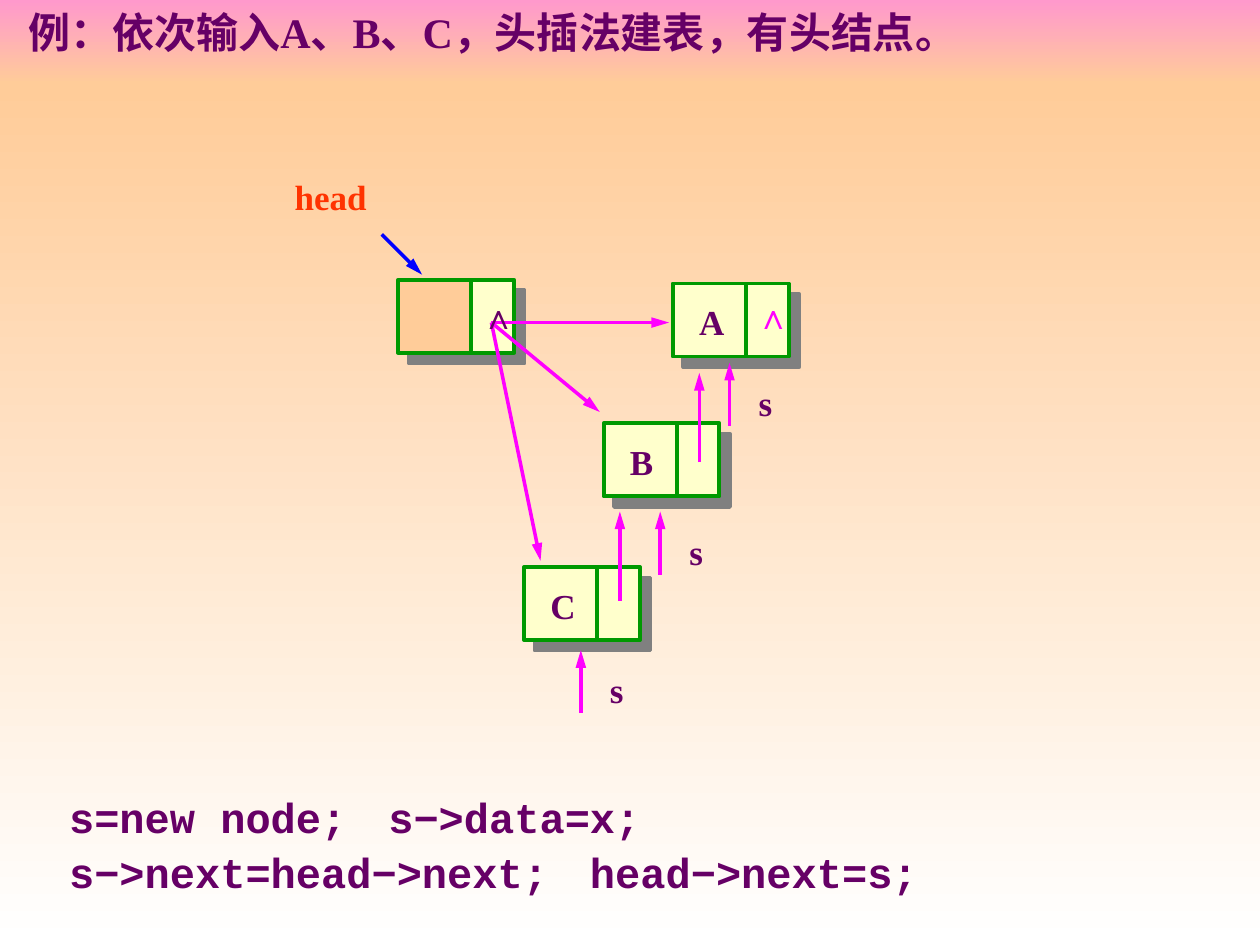
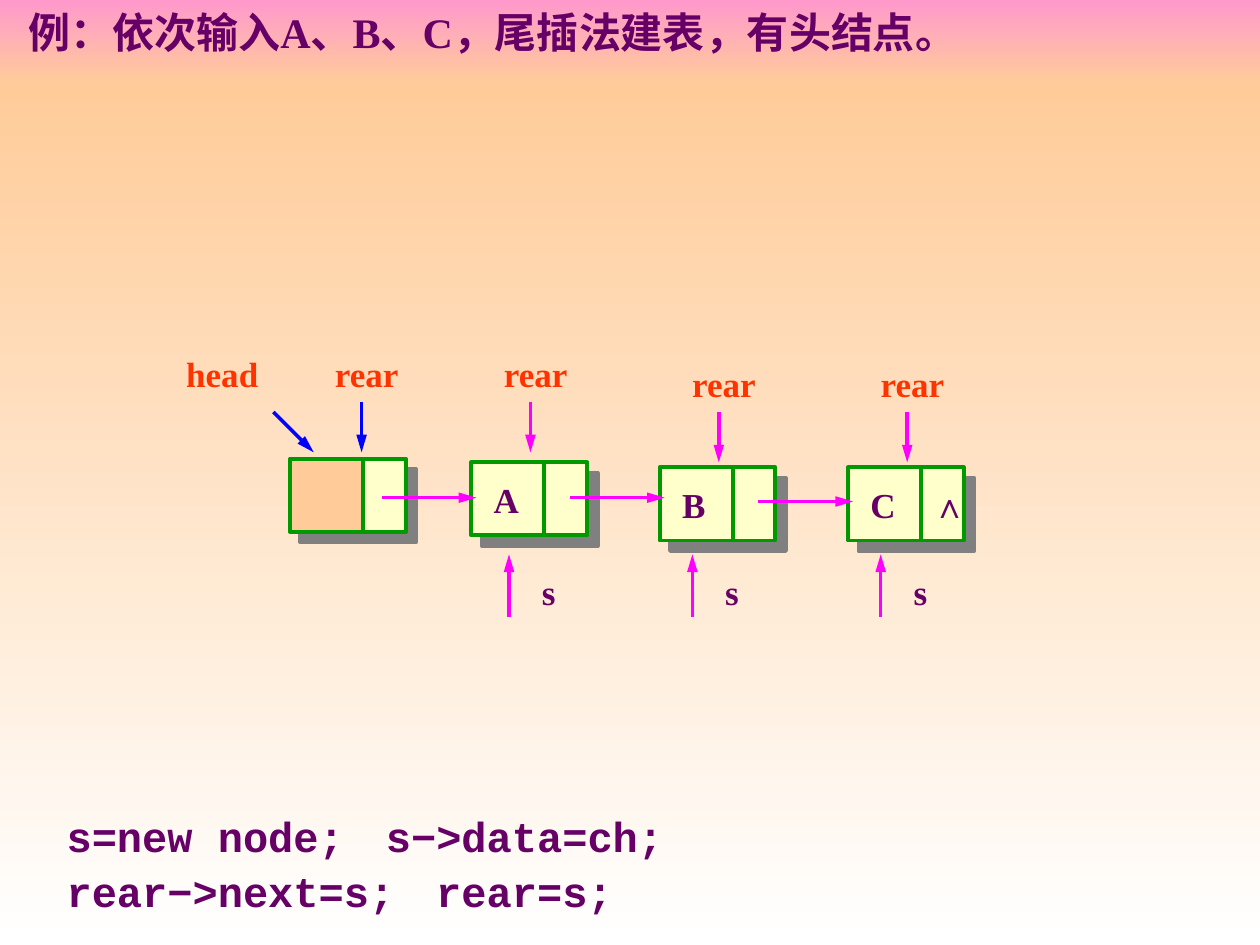
from dataclasses import dataclass

import pptx
import pptx.dml.color
import pptx.enum.shapes
import pptx.enum.text
import pptx.oxml
import pptx.oxml.ns
import pptx.util
from lxml import etree

COLS, ROWS = 10, 7.5  # square grid cells across and down the slide
CELL = pptx.util.Inches(1)
ANCHOR = pptx.enum.text.MSO_ANCHOR
ALIGN = pptx.enum.text.PP_ALIGN
RECT = pptx.enum.shapes.MSO_SHAPE.RECTANGLE


@dataclass(frozen=True)
class Theme:
    text: str = "660066"
    variable: str = "FF3300"
    band_top: str = "FF99CC"
    band_base: str = "FFCC99"
    paper: str = "FFFFFF"
    node: str = "FFFFCC"
    border: str = "009900"
    shadow: str = "808080"
    start: str = "0000FF"
    link: str = "FF00FF"
    serif: str = "Times New Roman"
    mono: str = "Courier New"
    large: float = 24
    label: float = 20
    border_width: float = 2.25
    arrow_width: float = 2


T = Theme()
DATA_W, LINK_W, NODE_H = 0.58, 0.34, 0.58
BAND_H = 0.67


def grid(*lengths):
    return [int(n * CELL) for n in lengths]


def rgb(value):
    return pptx.dml.color.RGBColor.from_string(value)


def add_xml(parent, tag, **attrs):
    return etree.SubElement(parent, pptx.oxml.ns.qn(tag), attrs)


def add_text(slide, box, lines, size=T.label, color=T.text, font=T.serif,
             align=ALIGN.LEFT, anchor=ANCHOR.TOP, wrap=False, spacing=None):
    tf = slide.shapes.add_textbox(*grid(*box)).text_frame
    tf.word_wrap = wrap
    tf.auto_size = pptx.enum.text.MSO_AUTO_SIZE.SHAPE_TO_FIT_TEXT
    tf.vertical_anchor = anchor
    for i, line in enumerate(lines):
        p = tf.paragraphs[0] if i == 0 else tf.add_paragraph()
        p.text = line
        p.alignment = align
        if spacing:
            p.line_spacing = spacing
        p.font.size = pptx.util.Pt(size)
        p.font.name = font
        p.font.bold = True
        p.font.color.rgb = rgb(color)


def add_arrow(slide, start, end, color=T.link):
    straight = pptx.enum.shapes.MSO_CONNECTOR.STRAIGHT
    line = slide.shapes.add_connector(straight, *grid(*start, *end))
    line.line.color.rgb = rgb(color)
    line.line.width = pptx.util.Pt(T.arrow_width)
    sp_pr = line.element.spPr
    add_xml(sp_pr.find(pptx.oxml.ns.qn("a:ln")), "a:tailEnd",
            type="triangle", w="med", len="lg")
    add_xml(sp_pr, "a:effectLst")


def add_cell(slide, x, y, width, fill):
    sp = slide.shapes.add_shape(RECT, *grid(x, y, width, NODE_H))
    sp.fill.solid()
    sp.fill.fore_color.rgb = rgb(fill)
    sp.line.color.rgb = rgb(T.border)
    sp.line.width = pptx.util.Pt(T.border_width)
    sp.shadow.inherit = False
    effects = sp.element.spPr.find(pptx.oxml.ns.qn("a:effectLst"))
    shadow = add_xml(effects, "a:outerShdw", dist=str(pptx.util.Pt(8.5)),
                     dir="2700000", algn="ctr", rotWithShape="0")
    add_xml(shadow, "a:srgbClr", val=T.shadow)


def add_node(slide, x, y, letter=None, letter_at=(0.11, 0.09)):
    """A list node: data cell and link cell; without a letter it is the head."""
    add_cell(slide, x, y, DATA_W, T.node if letter else T.band_base)
    add_cell(slide, x + DATA_W, y, LINK_W, T.node)
    if letter:
        dx, dy = letter_at
        add_text(slide, (x + dx, y + dy, 0.4, 0.43), [letter],
                 anchor=ANCHOR.MIDDLE)


def add_null(slide, x, y, color=T.text):
    add_text(slide, (x, y, 0.37, 0.43), ["∧"], color=color,
             align=ALIGN.CENTER, anchor=ANCHOR.MIDDLE)


def add_head(slide, x, y):
    add_text(slide, (x, y, 0.77, 0.43), ["head"], color=T.variable)
    add_arrow(slide, (x + 0.79, y + 0.52), (x + 1.11, y + 0.84), T.start)


def add_rear(slide, x, y, color=T.link):
    add_text(slide, (x, y, 0.71, 0.43), ["rear"], color=T.variable)
    add_arrow(slide, (x + 0.31, y + 0.44), (x + 0.31, y + 0.84), color)


def add_s(slide, x, y, label_at):
    """The pointer s, with its arrow tip at x, y."""
    dx, dy = label_at
    add_arrow(slide, (x, y + 0.5), (x, y))
    add_text(slide, (x + dx, y + dy, 0.31, 0.43), ["s"],
             align=ALIGN.CENTER, anchor=ANCHOR.MIDDLE)


def add_bands(slide, layout):
    """Draw the two gradient bands and hand them to the shared layout."""
    for y, height, top, base in (
            (0, BAND_H, T.band_top, T.band_base),
            (BAND_H, ROWS - BAND_H, T.band_base, T.paper)):
        sp = slide.shapes.add_shape(RECT, *grid(0, y, COLS, height))
        sp.shadow.inherit = False
        sp.line.fill.background()
        sp.fill.gradient()
        sp.fill.gradient_angle = 270
        for stop, color in zip(sp.fill.gradient_stops, (top, base)):
            stop.color.rgb = rgb(color)
        layout.shapes.element.append(sp.element)


def add_frame(slide, title, code, code_box):
    add_text(slide, (0, 0, 7.82, 0.5), [title], size=T.large,
             align=ALIGN.CENTER, anchor=ANCHOR.MIDDLE, wrap=True)
    add_text(slide, code_box, code, size=T.large, font=T.mono, wrap=True,
             spacing=1.1)


def head_insertion(slide):
    add_frame(slide, "例：依次输入A、B、C，头插法建表，有头结点。",
              ["s=new node; s−>data=x;".replace("; ", ";　"),
               "s−>next=head−>next;　head−>next=s;"],
              (0.45, 6.19, 9.14, 0.98))
    head_x, head_y = 3.16, 2.22
    nodes = {"A": (5.34, 2.25), "B": (4.79, 3.36), "C": (4.16, 4.5)}
    s_tips = {"A": 2.88, "B": 4.06, "C": 5.16}

    add_head(slide, 2.24, 1.34)
    add_node(slide, head_x, head_y)
    for letter, (x, y) in nodes.items():
        add_node(slide, x, y, letter)
        add_s(slide, x + 0.45, s_tips[letter], (0.13, 0.1))
    for tip in ((4.76, 3.27), (4.29, 4.45), (5.31, 2.56)):
        add_arrow(slide, (head_x + 0.74, head_y + 0.34), tip)
    for letter, start_y in (("B", 3.67), ("C", 4.77)):
        x = nodes[letter][0] + 0.76
        add_arrow(slide, (x, start_y), (x, start_y - 0.71))
    add_null(slide, head_x + 0.56, 2.29)
    add_null(slide, nodes["A"][0] + 0.56, 2.29, T.link)


def tail_insertion(slide):
    add_frame(slide, "例：依次输入A、B、C，尾插法建表，有头结点。",
              ["s=new node;　s−>data=ch;", "rear−>next=s;　rear=s;"],
              (0.43, 6.34, 8.11, 0.98))
    first_x, pitch = 3.74, 1.495
    rows = (("A", 3.67, 2.75, 0.3, 3.95),
            ("B", 3.71, 2.83, 0.26, 3.95),
            ("C", 3.71, 2.83, 0.26, 3.98))

    add_node(slide, 2.3, 3.64)
    add_head(slide, 1.38, 2.75)
    add_rear(slide, 2.56, 2.75, T.start)
    for i, (letter, y, rear_y, s_dx, _) in enumerate(rows):
        x = first_x + i * pitch
        add_node(slide, x, y, letter, (0.08, 0.08))
        add_rear(slide, x + 0.16, rear_y)
        add_s(slide, x + s_dx, 4.4, (0.16, 0.08))
    for i, (*_, link_y) in enumerate(rows):
        tip_x = first_x + i * pitch + 0.04
        add_arrow(slide, (tip_x - 0.75, link_y), (tip_x, link_y))
    add_null(slide, first_x + 2 * pitch + 0.57, 3.79)


def main():
    prs = pptx.Presentation()
    prs.slide_width, prs.slide_height = grid(COLS, ROWS)
    layout = prs.slide_layouts[6]
    for i, build in enumerate((head_insertion, tail_insertion)):
        slide = prs.slides.add_slide(layout)
        if i == 0:
            add_bands(slide, layout)
        build(slide)
    prs.save("out.pptx")


if __name__ == "__main__":
    main()
